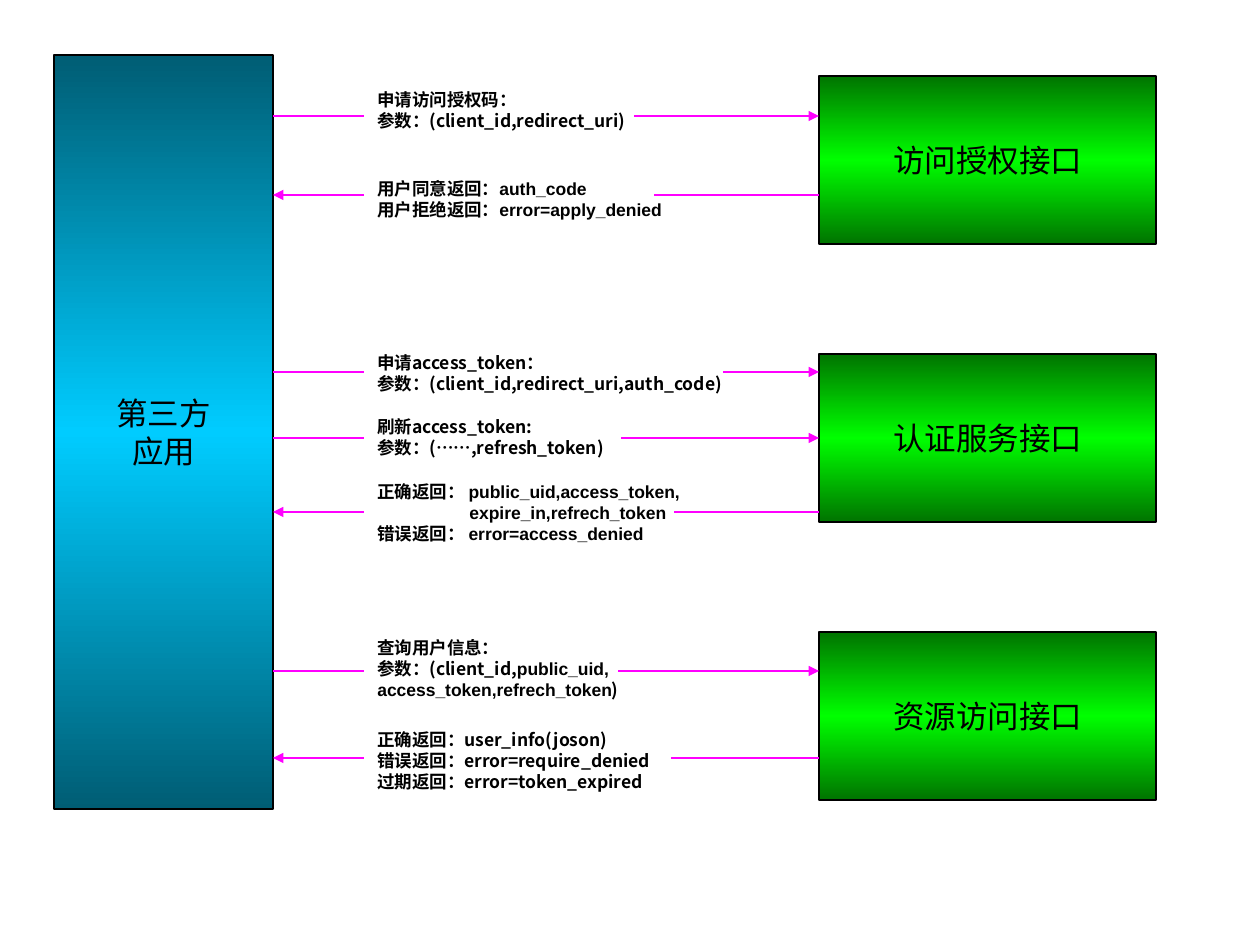
import copy

import pptx
import pptx.dml.color
import pptx.enum.shapes
import pptx.enum.text
import pptx.oxml
import pptx.oxml.ns
import pptx.util

PX = 914400 // 126
SANS, ARIAL = "Noto Sans CJK SC", "Arial"
COLORS = {
    "text": "000000",
    "paper": "FFFFFF",
    "arrow": "FF00FF",
    "app_dark": "005D74",
    "app_light": "00CCFF",
    "api_dark": "007400",
    "api_light": "00FF00",
}
COLORS = {name: pptx.dml.color.RGBColor.from_string(value) for name, value in COLORS.items()}

presentation = pptx.Presentation()
presentation.slide_width = 1260 * PX
presentation.slide_height = 945 * PX
slide = presentation.slides.add_slide(presentation.slide_layouts[6])


def add_box(left, top, width, height, line, fill, middle=None):
    """Add a rectangle, plain or with a vertical fill-middle-fill gradient."""
    shape = slide.shapes.add_shape(
        pptx.enum.shapes.MSO_SHAPE.RECTANGLE, left * PX, top * PX, width * PX, height * PX)
    shape.shadow.inherit = False
    shape.line.color.rgb = COLORS[line]
    shape.line.width = pptx.util.Pt(0.75)
    if middle is None:
        shape.fill.solid()
        shape.fill.fore_color.rgb = COLORS[fill]
    else:
        shape.fill.gradient()
        shape.fill.gradient_angle = 90
        stop_list = next(shape._element.spPr.iter(pptx.oxml.ns.qn("a:gsLst")))
        stop_list.insert(1, copy.deepcopy(stop_list[0]))
        for index, name in enumerate((fill, middle, fill)):
            stop = shape.fill.gradient_stops[index]
            stop.position = index / 2
            stop.color.rgb = COLORS[name]
    shape.text_frame.word_wrap = False
    shape.text_frame.vertical_anchor = pptx.enum.text.MSO_ANCHOR.MIDDLE
    return shape


def write(shape, lines, font, size, bold=False, align="LEFT", indents=()):
    """Write one paragraph per line; a line is a string or a list of (text, font) runs."""
    frame = shape.text_frame
    for index, line in enumerate(lines):
        paragraph = frame.paragraphs[0] if index == 0 else frame.add_paragraph()
        paragraph.alignment = getattr(pptx.enum.text.PP_ALIGN, align)
        paragraph.line_spacing = pptx.util.Pt(size * 1.2)
        if index in indents:
            paragraph._p.get_or_add_pPr().set("marL", str(indents[index] * PX))
        for text, name in [(line, font)] if isinstance(line, str) else line:
            run = paragraph.add_run()
            run.text = text
            run.font.name = name
            run.font.size = pptx.util.Pt(size)
            run.font.bold = bold
            run.font.color.rgb = COLORS["text"]
            east_asian = pptx.oxml.parse_xml(
                f'<a:ea {pptx.oxml.ns.nsdecls("a")} typeface="{SANS}"/>')
            run.font._element.find(pptx.oxml.ns.qn("a:latin")).addnext(east_asian)


application = add_box(54, 55, 219, 754, "text", "app_dark", "app_light")
write(application, ["第三方", "应用"], SANS, 18, align="CENTER")

interfaces = []
for row, title in enumerate(("访问授权接口", "认证服务接口", "资源访问接口")):
    interface = add_box(819, 76 + 278 * row, 337, 168, "text", "api_dark", "api_light")
    write(interface, [title], ARIAL, 18, align="CENTER")
    interfaces.append(interface)

APP_EDGE, API_EDGE, LABEL_LEFT = 273, 819, 365
# Arrow height, is it a request, label top, width, height, font, lines, indents
messages = [
    (116, True, 86, 268, 49, SANS, ["申请访问授权码：", "参数：(client_id,redirect_uri)"], {}),
    (195, False, 175, 288, 49, ARIAL,
     ["用户同意返回：auth_code", "用户拒绝返回：error=apply_denied"], {}),
    (372, True, 344, 357, 59, SANS,
     ["申请access_token：", "参数：(client_id,redirect_uri,auth_code)"], {}),
    (512, False, 483, 308, 59, ARIAL,
     ["正确返回： public_uid,access_token,", "expire_in,refrech_token",
      "错误返回： error=access_denied"], {1: 92}),
    (671, True, 636, 252, 65, SANS,
     ["查询用户信息：",
      [("参数：(client_id,", SANS), ("public_uid,", ARIAL)],
      [("access_token,refrech_token", ARIAL), (")", SANS)]], {}),
    (758, False, 731, 305, 59, SANS,
     ["正确返回：user_info(joson)", "错误返回：error=require_denied",
      "过期返回：error=token_expired"], {}),
    (438, True, 413, 255, 49, SANS, ["刷新access_token:", "参数：(……,refresh_token)"], {}),
]

for y, is_request, top, width, height, font, lines, indents in messages:
    start, end = (APP_EDGE, API_EDGE) if is_request else (API_EDGE, APP_EDGE)
    arrow = slide.shapes.add_connector(
        pptx.enum.shapes.MSO_CONNECTOR.STRAIGHT, start * PX, y * PX, end * PX, y * PX)
    arrow.line.color.rgb = COLORS["arrow"]
    arrow.line.width = pptx.util.Pt(0.75)
    for interface in interfaces:
        if is_request and interface.top + interface.height // 2 == y * PX:
            arrow.end_connect(interface, 1)
    arrow.line._get_or_add_ln().append(pptx.oxml.parse_xml(
        f'<a:tailEnd {pptx.oxml.ns.nsdecls("a")} type="triangle"/>'))
    arrow._element.spPr.append(pptx.oxml.parse_xml(
        f'<a:effectLst {pptx.oxml.ns.nsdecls("a")}/>'))

    label = add_box(LABEL_LEFT, top, width, height, "paper", "paper")
    write(label, lines, font, 10, bold=True, indents=indents)

presentation.save("out.pptx")
